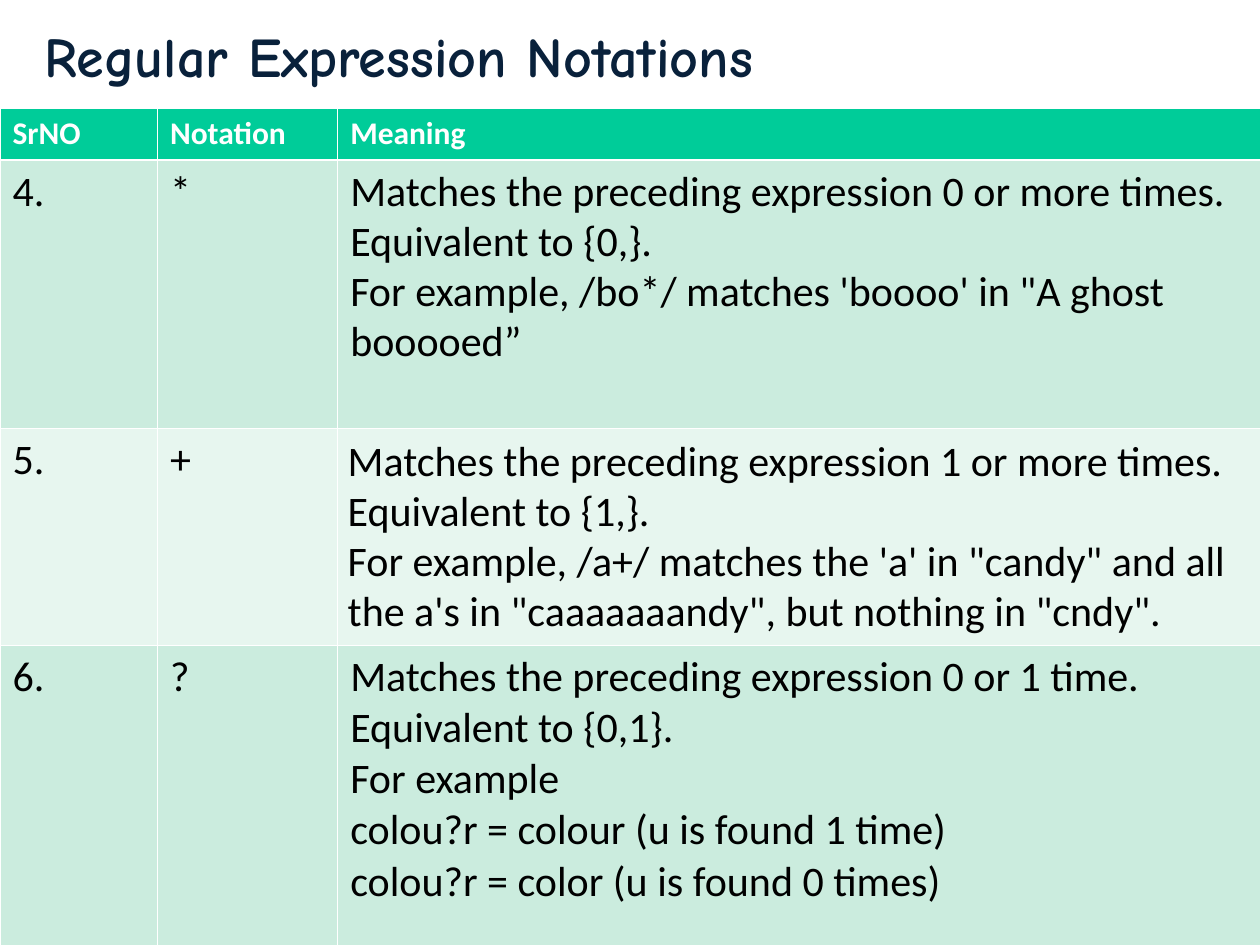
from dataclasses import dataclass

from lxml.etree import SubElement
from pptx import Presentation
from pptx.dml.color import RGBColor
from pptx.enum.text import MSO_ANCHOR, MSO_AUTO_SIZE, PP_ALIGN
from pptx.oxml.ns import qn
from pptx.util import Inches, Pt

TITLE = "Regular Expression Notations"
HEADINGS = ["SrNO", "Notation", "Meaning"]
# Each meaning is a list of paragraphs; a newline is a line break.
NOTATIONS = [
    ("4.", "*", [
        "Matches the preceding expression 0 or more times. Equivalent to {0,}.",
        "For example, /bo*/ matches 'boooo' in \"A ghost booooed”",
    ]),
    ("5.", "+", [
        "Matches the preceding expression 1 or more times. Equivalent to {1,}.",
        "For example, /a+/ matches the 'a' in \"candy\" and all the a's in "
        "\"caaaaaaandy\", but nothing in \"cndy\".",
    ]),
    ("6.", "?", [
        "Matches the preceding expression 0 or 1 time. Equivalent to {0,1}.\nFor example",
        "colou?r = colour (u is found 1 time)",
        "colou?r = color (u is found 0 times)",
    ]),
]
COLUMN_WIDTHS = [1.25, 1.43, 7.32]
ROW_HEIGHTS = [0.41, 2.13, 1.72, 2.5]
TABLE_TOP = 0.86
CENTERED_CELL = (2, 2)
NATURAL_SPACING_CELL = (3, 2)


@dataclass(frozen=True)
class Theme:
    title_font: str = "Comic Neue"
    body_font: str = "Calibri"
    title_size: int = 32
    heading_size: int = 18
    body_size: int = 24
    title_color: str = "09213B"
    heading_color: str = "FFFFFF"
    body_color: str = "000000"
    heading_fill: str = "00CC99"
    band_fills: tuple = ("CBECDE", "E7F6EF")
    border_color: str = "FFFFFF"
    thin_border: float = 0.23
    heading_border: float = 0.75
    line_spacing: float = 0.98


THEME = Theme()


def add_text(paragraph, text, font, size, color, bold):
    for index, line in enumerate(text.split("\n")):
        if index:
            paragraph.add_line_break()
        run = paragraph.add_run()
        run.text = line
        run.font.name = font
        run.font.size = Pt(size)
        run.font.bold = bold
        run.font.color.rgb = RGBColor.from_string(color)


def set_borders(cell, row):
    """Draw thin borders, with a heavier rule below the heading row."""
    widths = {side: THEME.thin_border for side in ("L", "R", "T", "B")}
    if row == 0:
        widths["B"] = THEME.heading_border
    elif row == 1:
        widths["T"] = THEME.heading_border
    properties = cell._tc.get_or_add_tcPr()
    for position, (side, width) in enumerate(widths.items()):
        line = SubElement(properties, qn(f"a:ln{side}"), w=str(Pt(width)))
        fill = SubElement(line, qn("a:solidFill"))
        SubElement(fill, qn("a:srgbClr"), val=THEME.border_color)
        properties.insert(position, line)


def fill_cell(cell, row, column, paragraphs):
    heading = row == 0
    fill = THEME.heading_fill if heading else THEME.band_fills[(row - 1) % 2]
    cell.fill.solid()
    cell.fill.fore_color.rgb = RGBColor.from_string(fill)
    set_borders(cell, row)
    centered = (row, column) == CENTERED_CELL
    cell.margin_left = cell.margin_right = Inches(0.08 if centered else 0.1)
    cell.margin_top = cell.margin_bottom = Inches(0.05)
    cell.vertical_anchor = MSO_ANCHOR.MIDDLE if centered else MSO_ANCHOR.TOP

    frame = cell.text_frame
    for index, text in enumerate(paragraphs):
        paragraph = frame.add_paragraph() if index else frame.paragraphs[0]
        if (row, column) != NATURAL_SPACING_CELL:
            paragraph.line_spacing = THEME.line_spacing
        add_text(
            paragraph, text, THEME.body_font,
            THEME.heading_size if heading else THEME.body_size,
            THEME.heading_color if heading else THEME.body_color,
            heading,
        )


def add_title(slide):
    title = slide.shapes.title
    title.left, title.top, title.width, title.height = map(Inches, (0.25, 0.12, 8.25, 0.64))
    frame = title.text_frame
    frame.word_wrap = True
    frame.auto_size = MSO_AUTO_SIZE.SHAPE_TO_FIT_TEXT
    frame.vertical_anchor = MSO_ANCHOR.TOP
    paragraph = frame.paragraphs[0]
    paragraph.alignment = PP_ALIGN.LEFT
    add_text(paragraph, TITLE, THEME.title_font, THEME.title_size, THEME.title_color, True)


def add_notation_table(slide):
    rows = [[[heading] for heading in HEADINGS]]
    rows += [[[number], [notation], meaning] for number, notation, meaning in NOTATIONS]
    table = slide.shapes.add_table(
        len(rows), len(HEADINGS), 0, Inches(TABLE_TOP),
        Inches(sum(COLUMN_WIDTHS)), Inches(sum(ROW_HEIGHTS)),
    ).table
    for column, width in zip(table.columns, COLUMN_WIDTHS):
        column.width = Inches(width)
    for row, height in zip(table.rows, ROW_HEIGHTS):
        row.height = Inches(height)
    for row, cells in enumerate(rows):
        for column, paragraphs in enumerate(cells):
            fill_cell(table.cell(row, column), row, column, paragraphs)


def main():
    presentation = Presentation()
    presentation.slide_width, presentation.slide_height = Inches(10), Inches(7.5)
    slide = presentation.slides.add_slide(presentation.slide_layouts.get_by_name("Title Only"))
    add_title(slide)
    add_notation_table(slide)
    presentation.save("out.pptx")


if __name__ == "__main__":
    main()
